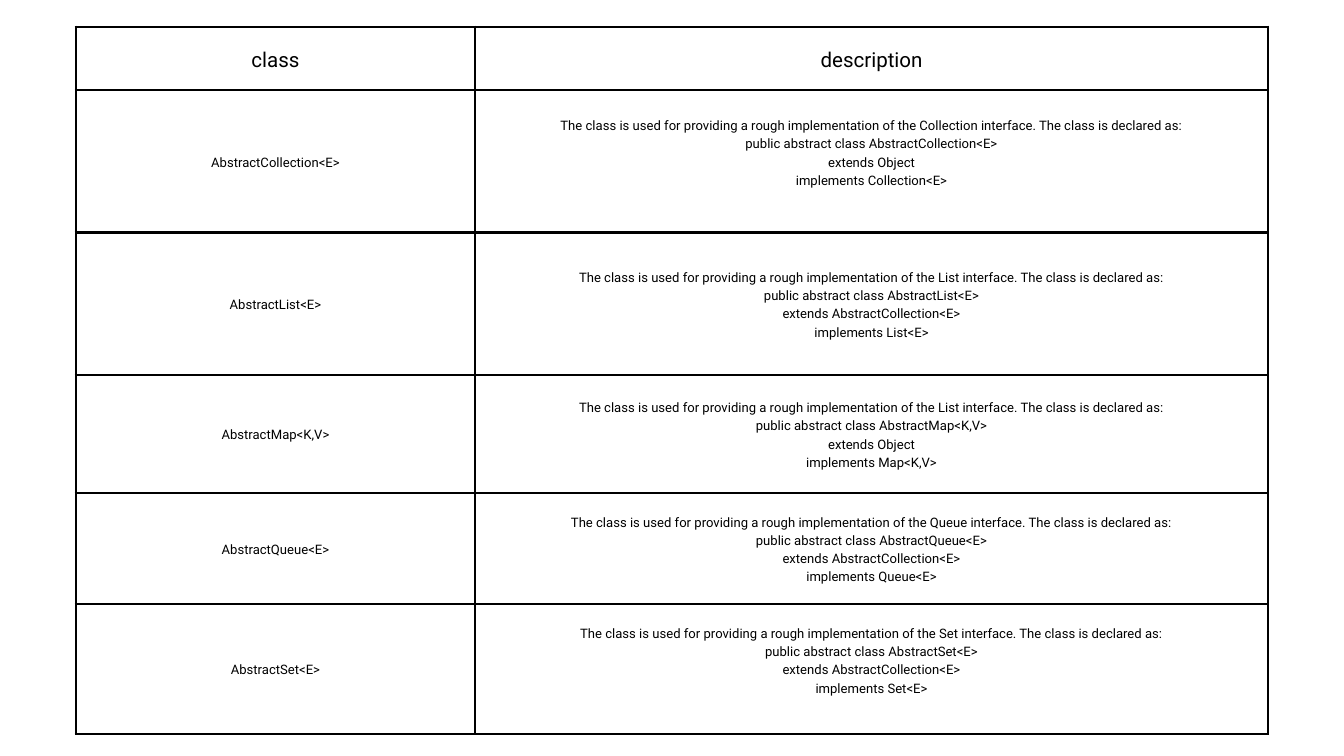
"""Build a slide with a table of the abstract collection classes."""
import pptx
import pptx.dml.color
import pptx.enum.text
import pptx.oxml
import pptx.oxml.ns
import pptx.util
from dataclasses import dataclass
from pptx.util import Inches


@dataclass(frozen=True)
class Theme:
    font: str = "Roboto"
    ink: str = "000000"
    header_size: float = 22
    body_size: float = 14
    line_ratio: float = 1.4
    border_width: float = 3
    cell_margin: float = 0.21
    raised_margin: float = 0.48


theme = Theme()


def add_borders(cell):
    properties = cell._tc.get_or_add_tcPr()
    for index, side in enumerate(("lnL", "lnR", "lnT", "lnB")):
        properties.insert(index, pptx.oxml.parse_xml(
            f'<a:{side} {pptx.oxml.ns.nsdecls("a")} w="{pptx.util.Pt(theme.border_width)}">'
            f'<a:solidFill><a:srgbClr val="{theme.ink}"/></a:solidFill></a:{side}>'))


def fill_cell(cell, text, size, bottom_margin):
    cell.fill.background()
    add_borders(cell)
    cell.vertical_anchor = pptx.enum.text.MSO_ANCHOR.MIDDLE
    cell.margin_left = cell.margin_right = cell.margin_top = Inches(theme.cell_margin)
    cell.margin_bottom = Inches(bottom_margin)
    cell.text_frame.text = text
    for paragraph in cell.text_frame.paragraphs:
        paragraph.alignment = pptx.enum.text.PP_ALIGN.CENTER
        paragraph.line_spacing = pptx.util.Pt(size * theme.line_ratio)
        for run in paragraph.runs:
            run.font.name = theme.font
            run.font.size = pptx.util.Pt(size)
            run.font.bold = False
            run.font.color.rgb = pptx.dml.color.RGBColor.from_string(theme.ink)


column_widths = (5.94, 11.8)
row_heights = (0.94, 2.12, 2.12, 1.76, 1.65, 1.93)
classes = (
    ("AbstractCollection<E>", "Collection", "Object", "Collection<E>", theme.raised_margin),
    ("AbstractList<E>", "List", "AbstractCollection<E>", "List<E>", theme.cell_margin),
    ("AbstractMap<K,V>", "List", "Object", "Map<K,V>", theme.cell_margin),
    ("AbstractQueue<E>", "Queue", "AbstractCollection<E>", "Queue<E>", theme.cell_margin),
    ("AbstractSet<E>", "Set", "AbstractCollection<E>", "Set<E>", theme.raised_margin),
)

presentation = pptx.Presentation()
presentation.slide_width = Inches(20)
presentation.slide_height = Inches(11.25)
slide = presentation.slides.add_slide(presentation.slide_layouts[6])

table = slide.shapes.add_table(
    len(row_heights), len(column_widths), Inches(1.13), Inches(0.4),
    Inches(sum(column_widths)), Inches(sum(row_heights))).table
table.first_row = False
table.horz_banding = False
for column, width in zip(table.columns, column_widths):
    column.width = Inches(width)
for row, height in zip(table.rows, row_heights):
    row.height = Inches(height)

for column_index, heading in enumerate(("class", "description")):
    fill_cell(table.cell(0, column_index), heading, theme.header_size, theme.cell_margin)

for row_index, (name, topic, parent, interface, bottom_margin) in enumerate(classes, start=1):
    description = "\n".join((
        f"The class is used for providing a rough implementation of the {topic} interface. "
        "The class is declared as:",
        f"public abstract class {name}",
        f"extends {parent}",
        f"implements {interface}",
    ))
    fill_cell(table.cell(row_index, 0), name, theme.body_size, theme.cell_margin)
    fill_cell(table.cell(row_index, 1), description, theme.body_size, bottom_margin)

presentation.save("out.pptx")
